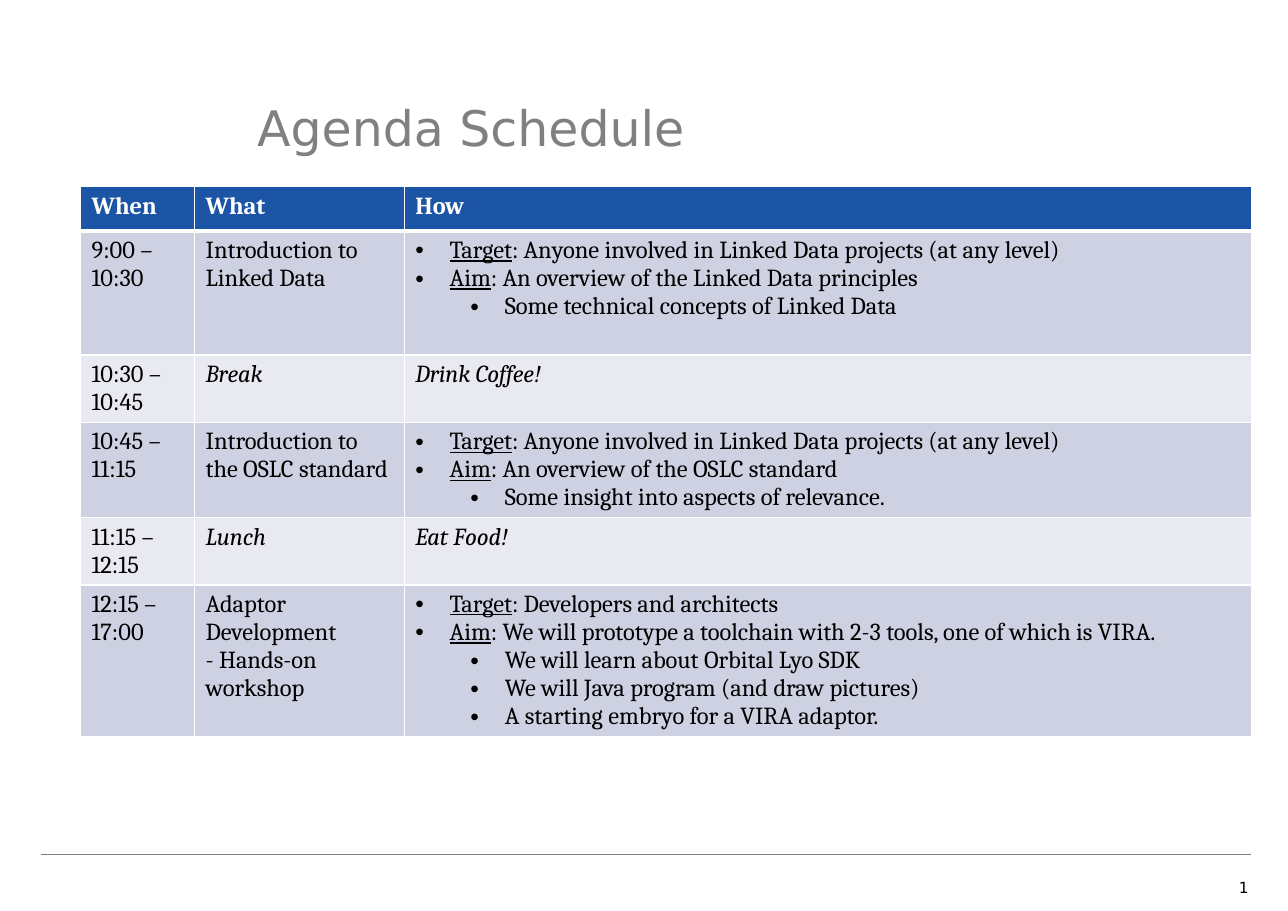
import pptx
import pptx.dml.color
import pptx.enum.shapes
import pptx.enum.text
import pptx.oxml
import pptx.oxml.ns
import pptx.util

Pt = pptx.util.Pt
Align = pptx.enum.text.PP_ALIGN
Anchor = pptx.enum.text.MSO_ANCHOR
NAMESPACE = pptx.oxml.ns.nsdecls("a")


class Theme:
    gray = "808080"
    black = "000000"
    white = "FFFFFF"
    header = "1C54A6"
    session = "CDD1E1"
    pause = "E8E9F1"
    sans = "DejaVu Sans"
    serif = "Cambria"
    title_size = 32
    table_size = 16
    number_size = 10


def color(value):
    return pptx.dml.color.RGBColor.from_string(value)


def write(paragraph, text, label="", level=None, font=Theme.serif, size=Theme.table_size,
          fill=Theme.black, bold=False, italic=False, align=Align.LEFT):
    paragraph.alignment = align
    if level is not None:
        paragraph.level = level
        properties = paragraph._p.get_or_add_pPr()
        properties.set("marL", str(Pt(22.5 + 36 * level)))
        properties.set("indent", str(Pt(-22.5)))
        for bullet in ('a:buFont {} typeface="Arial"', 'a:buChar {} char="•"'):
            properties.append(pptx.oxml.parse_xml(f"<{bullet.format(NAMESPACE)}/>"))
    for part, underline in ((label, True), (text, False)):
        if part:
            run = paragraph.add_run()
            run.text = part
            run.font.name = font
            run.font.size = Pt(size)
            run.font.color.rgb = color(fill)
            run.font.bold = bold
            run.font.italic = italic
            run.font.underline = underline


presentation = pptx.Presentation()
presentation.slide_width = Pt(841.68)
presentation.slide_height = Pt(595.44)
slide = presentation.slides.add_slide(presentation.slide_layouts[5])

footer_line = slide.shapes.add_connector(
    pptx.enum.shapes.MSO_CONNECTOR.STRAIGHT, Pt(27), Pt(558.5), Pt(817.5), Pt(558.5))
footer_line.line.color.rgb = color(Theme.gray)
footer_line.line.width = Pt(0.75)
footer_line._element.spPr.append(pptx.oxml.parse_xml(f"<a:effectLst {NAMESPACE}/>"))

title = slide.shapes.title
title.left, title.top, title.width, title.height = Pt(168), Pt(33), Pt(630), Pt(99.5)
title_frame = title.text_frame
title_frame.vertical_anchor = Anchor.MIDDLE
title_frame.margin_left = 0
title_frame.margin_right = Pt(8)
title_frame.margin_top = title_frame.margin_bottom = Pt(4)
write(title_frame.paragraphs[0], "Agenda Schedule", font=Theme.sans,
      size=Theme.title_size, fill=Theme.gray)

AUDIENCE = ": Anyone involved in Linked Data projects (at any level)"
agenda = [
    (29, Theme.header, ["When"], ["What"], ["How"]),
    (81, Theme.session, ["9:00 – 10:30"], ["Introduction to Linked Data"], [
        (0, "Target", AUDIENCE),
        (0, "Aim", ": An overview of the Linked Data principles"),
        (1, "", "Some technical concepts of Linked Data")]),
    (44, Theme.pause, ["10:30 – 10:45"], ["Break"], ["Drink Coffee!"]),
    (62, Theme.session, ["10:45 – 11:15"], ["Introduction to the OSLC standard"], [
        (0, "Target", AUDIENCE),
        (0, "Aim", ": An overview of the OSLC standard"),
        (1, "", "Some insight into aspects of relevance.")]),
    (44, Theme.pause, ["11:15 – 12:15"], ["Lunch"], ["Eat Food!"]),
    (99, Theme.session, ["12:15 – 17:00"], ["Adaptor Development", "- Hands-on workshop"], [
        (0, "Target", ": Developers and architects"),
        (0, "Aim", ": We will prototype a toolchain with 2-3 tools, one of which is VIRA."),
        (1, "", "We will learn about Orbital Lyo SDK"),
        (1, "", "We will Java program (and draw pictures)"),
        (1, "", "A starting embryo for a VIRA adaptor.")]),
]
column_widths = [74.5, 137, 553.5]
table = slide.shapes.add_table(
    len(agenda), len(column_widths), Pt(52.7), Pt(122),
    Pt(sum(column_widths)), Pt(sum(row[0] for row in agenda))).table
for column, width in zip(table.columns, column_widths):
    column.width = Pt(width)

for row_index, (height, fill, *contents) in enumerate(agenda):
    table.rows[row_index].height = Pt(height)
    is_header = fill == Theme.header
    for column_index, lines in enumerate(contents):
        cell = table.cell(row_index, column_index)
        for side in "LRTB":
            thick = (row_index, side) in ((0, "B"), (1, "T"))
            cell._tc.get_or_add_tcPr().append(pptx.oxml.parse_xml(
                f'<a:ln{side} {NAMESPACE} w="{Pt(3 if thick else 1)}"><a:solidFill>'
                f'<a:srgbClr val="{Theme.white}"/></a:solidFill></a:ln{side}>'))
        cell.fill.solid()
        cell.fill.fore_color.rgb = color(fill)
        for line_index, line in enumerate(lines):
            frame = cell.text_frame
            paragraph = frame.add_paragraph() if line_index else frame.paragraphs[0]
            level, label, text = (None, "", line) if isinstance(line, str) else line
            write(paragraph, text, label=label, level=level, bold=is_header,
                  fill=Theme.white if is_header else Theme.black,
                  italic=fill == Theme.pause and column_index > 0)

page_number = slide.shapes.add_textbox(Pt(781), Pt(564.5), Pt(42), Pt(31))
page_number.text_frame.word_wrap = True
page_number.text_frame.vertical_anchor = Anchor.MIDDLE
write(page_number.text_frame.paragraphs[0], "1", font=Theme.sans,
      size=Theme.number_size, align=Align.RIGHT)

presentation.save("out.pptx")
